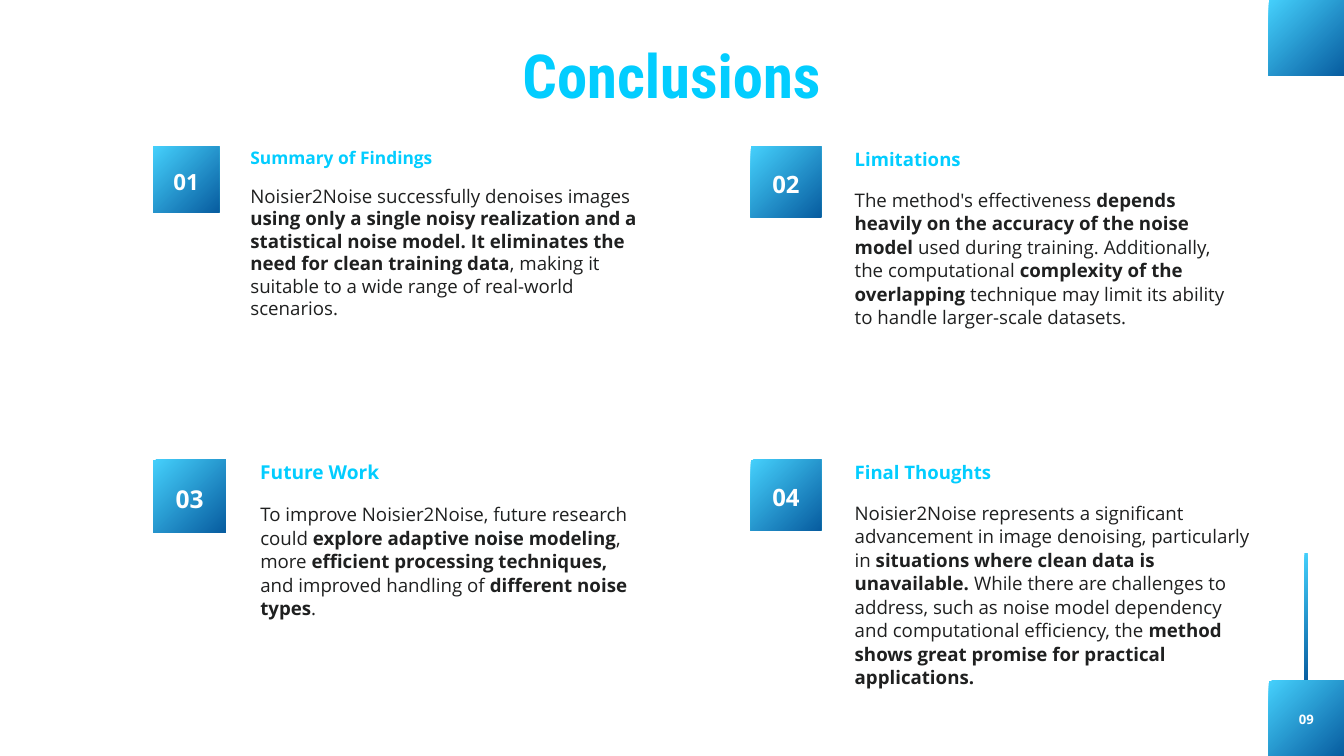
"""Build the Conclusions slide with four numbered cards."""
from dataclasses import dataclass

from pptx import Presentation
from pptx.dml.color import RGBColor
from pptx.enum.shapes import MSO_SHAPE
from pptx.enum.text import MSO_ANCHOR, MSO_AUTO_SIZE, PP_ALIGN
from pptx.util import Inches, Pt


@dataclass(frozen=True)
class Theme:
    """Colours, fonts and type sizes of the slide."""
    accent: RGBColor = RGBColor(0x02, 0xCD, 0xFF)
    ink: RGBColor = RGBColor(0x1F, 0x20, 0x20)
    white: RGBColor = RGBColor(0xFF, 0xFF, 0xFF)
    light: RGBColor = RGBColor(0x45, 0xD0, 0xFC)
    dark: RGBColor = RGBColor(0x08, 0x5D, 0xA0)
    font: str = "Open Sans"
    display: str = "Roboto Condensed"
    title: float = 65
    body: float = 20
    page: float = 14
    number: float = 24.35
    head: float = 18.95
    leading: float = 1.4


@dataclass(frozen=True)
class Card:
    """A numbered card, with body pieces that alternate plain and bold."""
    number: str
    head: str
    left: float
    top: float
    side: float
    span: float
    width: float
    height: float
    pitch: float
    pieces: tuple[str, ...]


THEME = Theme()
COLS = (2.28, 11.17)
ROWS = (2.18, 6.84)
CARDS = (
    Card("01", "Summary of Findings", COLS[0], ROWS[0], 0.98, 2.92, 5.85, 2.02, 24.1, (
        "Noisier2Noise successfully denoises images ",
        "using only a single noisy realization and a statistical noise model. "
        "It eliminates the need for clean training data",
        ", making it suitable to a wide range of real-world scenarios.")),
    Card("02", "Limitations", COLS[1], ROWS[0], 1.05, 4.77, 5.53, 2.09, 25.2, (
        "The method's effectiveness ",
        "depends heavily on the accuracy of the noise model ",
        "used during training. Additionally, the computational ",
        "complexity of the overlapping",
        " technique may limit its ability to handle larger-scale datasets.")),
    Card("03", "Future Work", COLS[0], ROWS[1], 1.08, 5.37, 5.71, 1.74, 25.2, (
        "To improve Noisier2Noise, future research could ",
        "explore adaptive noise modeling",
        ", more ",
        "efficient processing techniques, ",
        "and improved handling of ",
        "different noise types",
        ".")),
    Card("04", "Final Thoughts", COLS[1], ROWS[1], 1.05, 4.77, 5.9, 2.79, 25.2, (
        "Noisier2Noise represents a significant advancement in image denoising, "
        "particularly in ",
        "situations where clean data is unavailable. ",
        "While there are challenges to address, such as noise model dependency "
        "and computational efficiency, the ",
        "method shows great promise for practical applications.")),
)


def place(shape, left: float, top: float, width: float, height: float) -> None:
    """Move and size a shape in inches."""
    shape.left, shape.top = Inches(left), Inches(top)
    shape.width, shape.height = Inches(width), Inches(height)


def prep(frame, anchor: MSO_ANCHOR = MSO_ANCHOR.TOP) -> None:
    """Clear the margins of a text frame and let it wrap."""
    frame.margin_left = frame.margin_right = 0
    frame.margin_top = frame.margin_bottom = 0
    frame.word_wrap = True
    frame.auto_size = MSO_AUTO_SIZE.NONE
    frame.vertical_anchor = anchor


def style(run, size: float, color: RGBColor, bold: bool = True,
          face: str = THEME.font) -> None:
    """Set the font of a run."""
    font = run.font
    font.name, font.size, font.bold = face, Pt(size), bold
    font.color.rgb = color


def label(frame, text: str, size: float, color: RGBColor,
          align: PP_ALIGN = PP_ALIGN.CENTER, face: str = THEME.font,
          leading: float = THEME.leading) -> None:
    """Write one bold line into a frame."""
    frame.text = text
    para = frame.paragraphs[0]
    para.alignment = align
    para.line_spacing = Pt(size * leading)
    style(para.runs[0], size, color, face=face)


def tile(slide, left: float, top: float, width: float, height: float):
    """Draw a rectangle with the diagonal blue gradient."""
    shape = slide.shapes.add_shape(MSO_SHAPE.RECTANGLE, Inches(left), Inches(top),
                                   Inches(width), Inches(height))
    shape.shadow.inherit = False
    shape.line.fill.background()
    shape.fill.gradient()
    shape.fill.gradient_angle = 315
    for stop, color, spot in zip(shape.fill.gradient_stops,
                                 (THEME.light, THEME.dark), (0, 1)):
        stop.color.rgb = color
        stop.position = spot
    prep(shape.text_frame, MSO_ANCHOR.MIDDLE)
    return shape


def box(slide, left: float, top: float, width: float, height: float):
    """Add a text box and return its frame."""
    shape = slide.shapes.add_textbox(Inches(left), Inches(top),
                                     Inches(width), Inches(height))
    prep(shape.text_frame)
    return shape.text_frame


def draw(slide, card: Card) -> None:
    """Draw a card, scaled by the side of its tile."""
    side = card.side
    left = card.left + 1.475 * side
    badge = tile(slide, card.left, card.top, side, side)
    label(badge.text_frame, card.number, round(THEME.number * side, 1), THEME.white)
    head = box(slide, left, card.top - 0.04, card.span, 0.36 * side)
    label(head, card.head, round(THEME.head * side, 1), THEME.accent, PP_ALIGN.LEFT)
    body = box(slide, left, card.top + 0.58 * side, card.width, card.height)
    para = body.paragraphs[0]
    para.line_spacing = Pt(card.pitch)
    for spot, text in enumerate(card.pieces):
        run = para.add_run()
        run.text = text
        style(run, THEME.body, THEME.ink, bold=spot % 2 == 1)


def main() -> None:
    """Build and save the slide."""
    deck = Presentation()
    deck.slide_width, deck.slide_height = Inches(20), Inches(11.25)
    slide = deck.slides.add_slide(deck.slide_layouts[5])

    title = slide.shapes.title
    place(title, 7.74, 0.66, 4.51, 1.01)
    prep(title.text_frame)
    label(title.text_frame, "Conclusions", THEME.title, THEME.accent,
          face=THEME.display, leading=1.1)

    tile(slide, 19.41, 8.23, 0.05, 1.9)
    tile(slide, 18.88, 0, 1.12, 1.12)
    page = tile(slide, 18.88, 10.13, 1.12, 1.12)
    label(page.text_frame, "09", THEME.page, THEME.white)

    for card in CARDS:
        draw(slide, card)
    deck.save("out.pptx")


if __name__ == "__main__":
    main()
